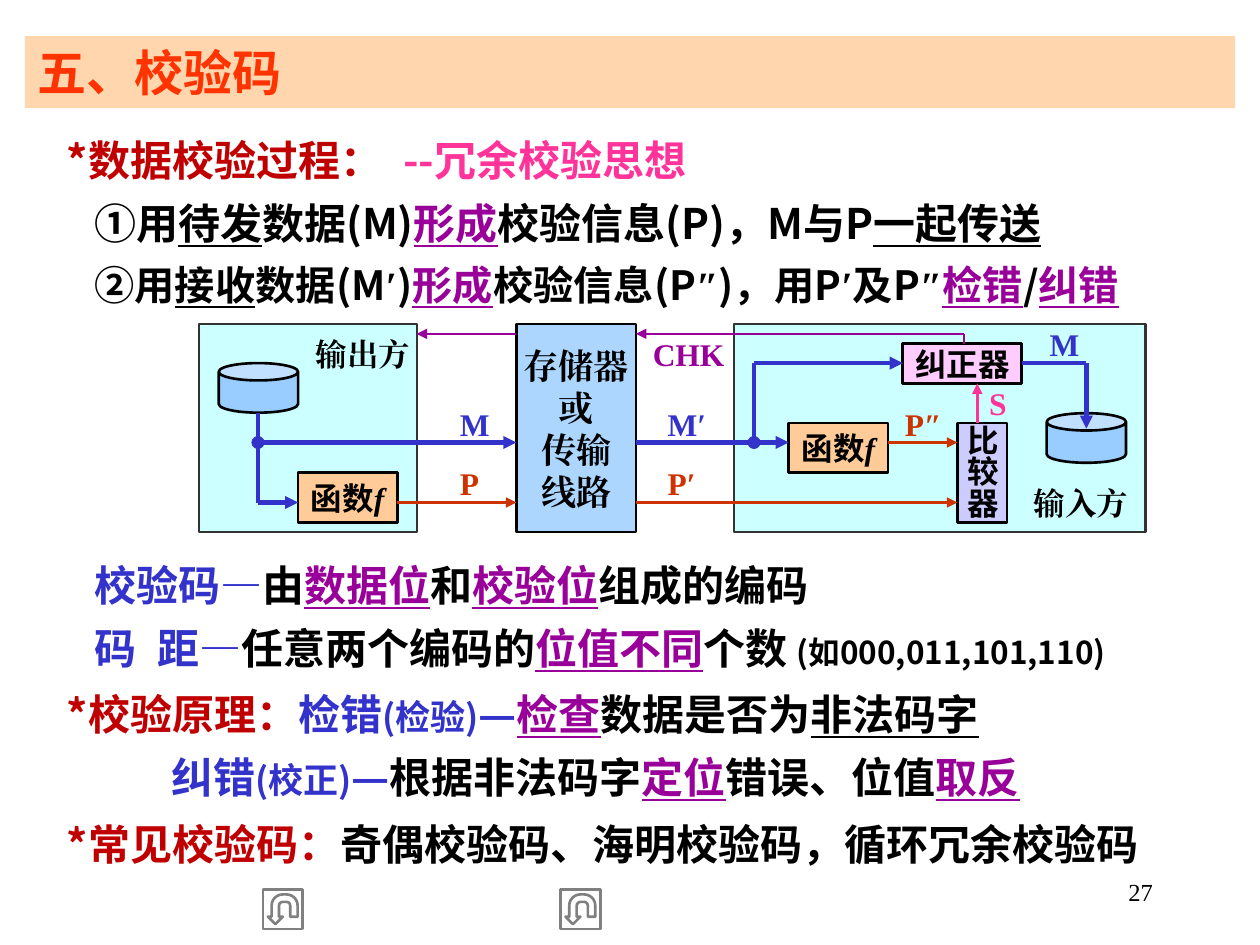
from dataclasses import dataclass
from pptx import Presentation
from pptx.dml.color import RGBColor
from pptx.enum.shapes import MSO_CONNECTOR, MSO_SHAPE
from pptx.enum.text import MSO_ANCHOR, PP_ALIGN
from pptx.oxml.ns import qn
from pptx.util import Cm, Pt
from lxml.etree import SubElement


@dataclass(frozen=True)
class Theme:
    sans: str = "Noto Sans CJK SC"
    serif: str = "Times New Roman"
    black: str = "000000"
    red: str = "C00000"
    title: str = "FF3300"
    pink: str = "FF3399"
    purple: str = "990099"
    blue: str = "3333CC"
    rust: str = "CC3300"
    gray: str = "808080"
    edge: str = "333333"
    panel: str = "CCFFFF"
    sky: str = "99CCFF"
    peach: str = "FFCC99"
    lilac: str = "CCCCFF"
    rose: str = "FFCCFF"
    title_size: float = 28
    body_size: float = 24
    tight_size: float = 23
    medium_size: float = 20
    small_size: float = 18
    page_size: float = 14
    thin: float = 1.5
    thick: float = 2.5


theme = Theme()
BODY = {}
UNDER = {"underline": True}
KEY = {"color": theme.purple, "underline": True}
RED = {"color": theme.red}
PINK = {"color": theme.pink}
BLUE = {"color": theme.blue}
BLUE_MEDIUM = {"color": theme.blue, "size": theme.medium_size}
SMALL = {"size": theme.small_size}
PRIME = {"font": theme.serif}
ITALIC = {"font": theme.serif, "italic": True}

STAR, ITEM, DEEP = 0.6, 1.15, 2.7
TEXT_LEFT, TEXT_WIDTH = 0.5, 24.4

sections = [
    (2.34, 4.11, [
        (STAR, theme.body_size, [("*数据校验过程：\u2002", RED), ("--冗余校验思想", PINK)]),
        (ITEM, theme.body_size, [
            ("①用", BODY), ("待发", UNDER), ("数据(M)", BODY), ("形成", KEY),
            ("校验信息(P)，M与P", BODY), ("一起传送", UNDER)]),
        (ITEM, theme.tight_size, [
            ("②用", BODY), ("接收", UNDER), ("数据(M", BODY), ("′", PRIME), (")", BODY),
            ("形成", KEY), ("校验信息(P", BODY), ("″", PRIME), (")，用P", BODY),
            ("′", PRIME), ("及P", BODY), ("″", PRIME), ("检错", KEY), ("/", BODY),
            ("纠错", KEY)]),
    ]),
    (10.9, 2.82, [
        (ITEM, theme.body_size, [
            ("校验码—", BLUE), ("由", BODY), ("数据位", KEY), ("和", BODY),
            ("校验位", KEY), ("组成的编码", BODY)]),
        (ITEM, theme.body_size, [
            ("码\u2002距—", BLUE), ("任意两个编码的", BODY), ("位值不同", KEY),
            ("个数 ", BODY), ("(如000,011,101,110)", SMALL)]),
    ]),
    (13.51, 2.82, [
        (STAR, theme.body_size, [
            ("*校验原理：", RED), ("检错", BLUE), ("(检验)", BLUE_MEDIUM), ("—", BLUE),
            ("检查", KEY), ("数据是否为", BODY), ("非法码字", UNDER)]),
        (DEEP, theme.body_size, [
            ("纠错", BLUE), ("(校正)", BLUE_MEDIUM), ("—", BLUE), ("根据非法码字", BODY),
            ("定位", KEY), ("错误、位值", BODY), ("取反", KEY)]),
    ]),
    (16.13, 1.55, [
        (STAR, theme.body_size, [
            ("*常见校验码：", RED), ("奇偶校验码、海明校验码，循环冗余校验码", BODY)]),
    ]),
]

TOP, HEIGHT = 6.53, 4.2
CHECK_Y, FIX_Y, DATA_Y, PARITY_Y = 6.73, 7.32, 8.92, 10.13
SOURCE_X, SENDER_X, STORE_LEFT, STORE_RIGHT = 5.2, 8.4, 10.41, 12.82
BRANCH_X, COMPARE_X, SINK_X = 15.2, 19.3, 21.9
SIGNAL_X, FEEDBACK_X = 19.7, 19.43

panels = [(4.01, TOP, 4.4, HEIGHT), (14.8, TOP, 8.3, HEIGHT)]
cans = [(4.41, 7.32, 1.6, 1), (21.1, 8.33, 1.6, 1)]
function_name = [[("函数", BODY), ("f", ITALIC)]]
boxes = [
    ((STORE_LEFT, TOP, 2.41, HEIGHT), theme.sky, 80, theme.medium_size, None,
     [[(line, PRIME)] for line in ("存储器", "或", "传输", "线路")]),
    ((6.01, 9.53, 2, 1), theme.peach, 100, theme.small_size, None, function_name),
    ((15.9, 8.53, 2, 1), theme.peach, 100, theme.small_size, None, function_name),
    ((COMPARE_X, 8.53, 1, 2), theme.lilac, 100, theme.small_size, "eaVert", [[("比较器", BODY)]]),
    ((18.2, 6.93, 2.4, 0.8), theme.rose, 100, theme.small_size, None, [[("纠正器", BODY)]]),
]

blue, rust = (theme.blue, theme.thick), (theme.rust, theme.thin)
purple, pink = (theme.purple, theme.thin), (theme.pink, theme.thin)
lines = [
    ((SOURCE_X, DATA_Y), (STORE_LEFT, DATA_Y), blue, "oval", "triangle"),
    ((8.01, PARITY_Y), (STORE_LEFT, PARITY_Y), rust, None, "triangle"),
    ((SOURCE_X, PARITY_Y), (6.01, PARITY_Y), blue, None, "triangle"),
    ((SOURCE_X, 8.33), (SOURCE_X, PARITY_Y), blue, None, None),
    ((STORE_RIGHT, DATA_Y), (15.9, DATA_Y), blue, None, "triangle"),
    ((17.9, DATA_Y), (COMPARE_X, DATA_Y), rust, None, "triangle"),
    ((STORE_RIGHT, PARITY_Y), (COMPARE_X, PARITY_Y), rust, None, "triangle"),
    ((SIGNAL_X, 8.52), (SIGNAL_X, 7.73), pink, None, "triangle"),
    ((FEEDBACK_X, CHECK_Y), (STORE_RIGHT, CHECK_Y), purple, None, "triangle"),
    ((FEEDBACK_X, CHECK_Y), (FEEDBACK_X, 6.93), purple, None, None),
    ((STORE_LEFT, CHECK_Y), (SENDER_X, CHECK_Y), purple, None, "triangle"),
    ((BRANCH_X, DATA_Y), (BRANCH_X, FIX_Y), blue, "oval", None),
    ((BRANCH_X, FIX_Y), (18.2, FIX_Y), blue, None, "triangle"),
    ((20.6, FIX_Y), (SINK_X, FIX_Y), blue, None, None),
    ((SINK_X, FIX_Y), (SINK_X, 8.64), blue, None, "triangle"),
]

labels = [
    ("M", 9.22, 8.13, 0.8, theme.blue, PP_ALIGN.LEFT),
    ("P", 9.22, 9.32, 0.8, theme.rust, PP_ALIGN.LEFT),
    ("M′", 13.41, 8.13, 1, theme.blue, PP_ALIGN.LEFT),
    ("P′", 13.41, 9.32, 0.8, theme.rust, PP_ALIGN.LEFT),
    ("P″", 18.11, 8.13, 1, theme.rust, PP_ALIGN.CENTER),
    ("M", 21.11, TOP, 0.8, theme.blue, PP_ALIGN.LEFT),
    ("S", 19.89, 7.72, 0.5, theme.pink, PP_ALIGN.LEFT),
    ("CHK", 13.11, 6.73, 1.6, theme.purple, PP_ALIGN.LEFT),
    ("输出方", 6.22, 6.73, 2.19, theme.black, PP_ALIGN.CENTER),
    ("输入方", 20.7, 9.73, 2.19, theme.black, PP_ALIGN.CENTER),
]


def write(paragraph, text, size=theme.body_size, color=theme.black, font=theme.sans,
          bold=True, italic=False, underline=False):
    run = paragraph.add_run()
    run.text = text
    run.font.size = Pt(size)
    run.font.name = font
    run.font.bold = bold
    run.font.italic = italic
    run.font.underline = underline
    run.font.color.rgb = RGBColor.from_string(color)
    properties = run.font.fill._xPr
    SubElement(properties, qn("a:ea")).set("typeface", font)


def fill_frame(shape, paragraphs, align=PP_ALIGN.LEFT, anchor=MSO_ANCHOR.TOP,
               inset=None, indents=None, spacing=None, **style):
    frame = shape.text_frame
    frame.word_wrap = True
    frame.vertical_anchor = anchor
    if inset:
        frame.margin_left = frame.margin_right = Cm(inset[0])
        frame.margin_top = frame.margin_bottom = Cm(inset[1])
    for index, runs in enumerate(paragraphs):
        paragraph = frame.add_paragraph() if index else frame.paragraphs[0]
        paragraph.alignment = align
        if spacing:
            paragraph.line_spacing = spacing
        if indents:
            properties = paragraph._p.get_or_add_pPr()
            properties.set("marL", str(Cm(indents[index])))
            properties.set("indent", "0")
        for text, run_style in runs:
            write(paragraph, text, **{**style, **run_style})


def add_box(kind, place, fill=None, line=None, alpha=100):
    shape = slide.shapes.add_shape(kind, *map(Cm, place))
    shape.shadow.inherit = False
    if fill:
        shape.fill.solid()
        shape.fill.fore_color.rgb = RGBColor.from_string(fill)
        if alpha < 100:
            color = shape.element.spPr.find(qn("a:solidFill"))[0]
            SubElement(color, qn("a:alpha")).set("val", str(alpha * 1000))
    else:
        shape.fill.background()
    if line:
        shape.line.color.rgb = RGBColor.from_string(line)
        shape.line.width = Pt(theme.thin)
    else:
        shape.line.fill.background()
    return shape


def add_line(start, end, stroke, head, tail):
    connector = slide.shapes.add_connector(MSO_CONNECTOR.STRAIGHT, *map(Cm, start + end))
    connector.line.color.rgb = RGBColor.from_string(stroke[0])
    connector.line.width = Pt(stroke[1])
    outline = connector.line._get_or_add_ln()
    for tag, arrow in (("a:headEnd", head), ("a:tailEnd", tail)):
        if arrow:
            SubElement(outline, qn(tag)).set("type", arrow)
    SubElement(connector.element.spPr, qn("a:effectLst"))


presentation = Presentation()
presentation.slide_width, presentation.slide_height = Cm(25.4), Cm(19.05)
slide = presentation.slides.add_slide(presentation.slide_layouts[6])

page_number = slide.shapes.add_textbox(*map(Cm, (18.21, 17.35, 5.28, 1.27)))
fill_frame(page_number, [[("27", PRIME)]], PP_ALIGN.RIGHT, MSO_ANCHOR.MIDDLE,
           size=theme.page_size, bold=False)
title = add_box(MSO_SHAPE.RECTANGLE, (TEXT_LEFT, 0.73, TEXT_WIDTH, 1.45), theme.peach, alpha=80)
fill_frame(title, [[("五、校验码", BODY)]], anchor=MSO_ANCHOR.MIDDLE,
           size=theme.title_size, color=theme.title)

for top, height, paragraphs in sections:
    section = slide.shapes.add_textbox(*map(Cm, (TEXT_LEFT, top, TEXT_WIDTH, height)))
    runs = [[(text, {"size": size, **style}) for text, style in parts]
            for _, size, parts in paragraphs]
    fill_frame(section, runs, indents=[indent for indent, _, _ in paragraphs], spacing=1.25)

for left in (5.3, 11.3):
    button = add_box(MSO_SHAPE.ACTION_BUTTON_RETURN, (left, 17.93, 0.8, 0.8), line=theme.gray)
    button.rotation = 180

for place in panels:
    add_box(MSO_SHAPE.RECTANGLE, place, theme.panel, theme.edge)
for place in cans:
    can = add_box(MSO_SHAPE.CAN, place, theme.sky, theme.black)
    can.adjustments[0] = 0.35
for place, fill, alpha, size, direction, paragraphs in boxes:
    box = add_box(MSO_SHAPE.RECTANGLE, place, fill, theme.black, alpha)
    fill_frame(box, paragraphs, PP_ALIGN.CENTER, MSO_ANCHOR.MIDDLE, (0.05, 0.03), size=size)
    if direction:
        box.element.txBody.find(qn("a:bodyPr")).set("vert", direction)
for line in lines:
    add_line(*line)
for text, left, top, width, color, align in labels:
    label = slide.shapes.add_textbox(*map(Cm, (left, top, width, 0.8)))
    fill_frame(label, [[(text, PRIME)]], align, inset=(0.05, 0.03),
               size=theme.small_size, color=color)

presentation.save("out.pptx")
